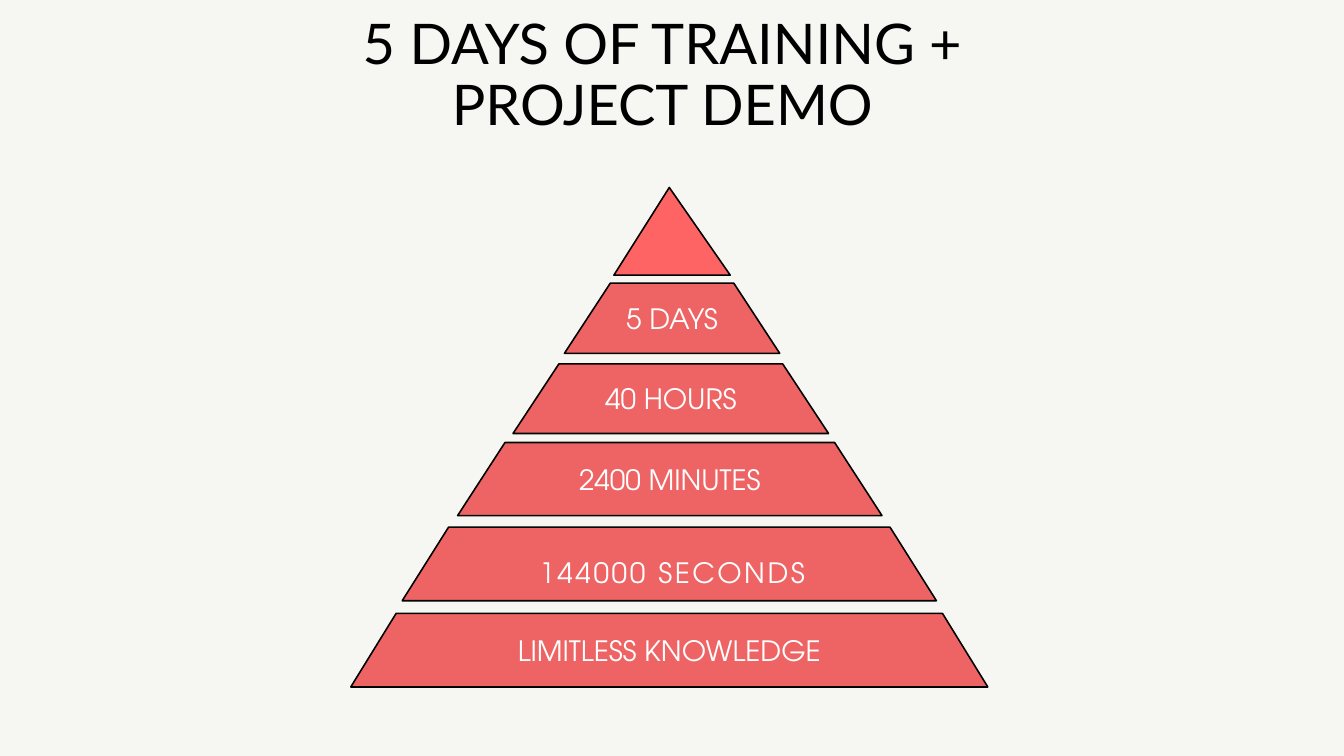
import pptx
import pptx.dml.color
import pptx.enum.text
import pptx.util

COLOURS = {"paper": "F6F7F2", "ink": "000000", "tier": "EE6464",
           "peak": "FF6464", "label": "FFFFFF"}
LABEL = {"name": "TeX Gyre Adventor", "size": pptx.util.Pt(40)}
TITLE = {"name": "Lato", "size": pptx.util.Pt(80)}

# Regions as percent of the page: left, top, width, height
TITLE_BOX = (23.25, 1.4, 52.08, 17.53)
PYRAMID_BOX = (26.1, 24.8, 47.4, 66.07)

# Tiers as percent of the pyramid: label, top, height, then the x of
# the base left, top left, top right and base right corners
TIERS = [
    ("", 0, 17.56, 41.3, 50, 50, 59.57),
    ("5 DAYS", 19.17, 14.03, 33.54, 40.74, 60.13, 67.33),
    ("40 HOURS", 35.32, 13.93, 25.47, 32.67, 67.8, 75),
    ("2400 MINUTES", 51.06, 14.63, 16.77, 24.21, 75.95, 83.39),
    ("", 68.01, 14.73, 8.07, 15.35, 84.65, 91.93),
    ("LIMITLESS KNOWLEDGE", 85.27, 14.73, 0, 7.12, 92.88, 100),
]
SECONDS_BOX = (-5.3, 72.05, 111.55, 9.38)


def colour(name):
    return pptx.dml.color.RGBColor.from_string(COLOURS[name])


def inside(area, shares):
    """Turn percent shares of an area into a box in EMU."""
    left, top, width, height = area
    x, y, w, h = shares
    return (round(left + width * x / 100), round(top + height * y / 100),
            round(width * w / 100), round(height * h / 100))


def write(shape, text, font, ink, margin=0.05, spacing=1.0, tracking=0):
    frame = shape.text_frame
    settings = {"word_wrap": True,
                "vertical_anchor": pptx.enum.text.MSO_ANCHOR.MIDDLE}
    for side in ("left", "top", "right", "bottom"):
        settings[f"margin_{side}"] = pptx.util.Inches(margin)
    for key, value in settings.items():
        setattr(frame, key, value)
    para = frame.paragraphs[0]
    para.alignment = pptx.enum.text.PP_ALIGN.CENTER
    para.line_spacing = spacing
    span = para.add_run()
    span.text = text
    for key, value in font.items():
        setattr(span.font, key, value)
    span.font.color.rgb = colour(ink)
    if tracking:
        span.font._element.set("spc", str(round(tracking * 100)))


def add_title(page, area):
    box = page.shapes.add_textbox(*area)
    write(box, "5 DAYS OF TRAINING + PROJECT DEMO", TITLE, "ink", spacing=0.9)


def add_tier(page, area, tier):
    label, top, height, base_left, top_left, top_right, base_right = tier
    base = top + height
    corners = [(base_left, base), (top_left, top), (top_right, top),
               (base_right, base)]
    if top_left == top_right:
        corners.pop(2)
    points = [inside(area, (x, y, 0, 0))[:2] for x, y in corners]
    outline = page.shapes.build_freeform(*points[0])
    outline.add_line_segments(points[1:], close=True)
    shape = outline.convert_to_shape()
    shape.shadow.inherit = False
    shape.fill.solid()
    shape.fill.fore_color.rgb = colour("peak" if top == 0 else "tier")
    shape.line.color.rgb = colour("ink")
    shape.line.width = pptx.util.Pt(2.25)
    if label:
        write(shape, label, LABEL, "label")


def add_pyramid(page, area):
    for tier in TIERS:
        add_tier(page, area, tier)
    # The seconds label sits low in its tier, with wide tracking
    box = page.shapes.add_textbox(*inside(area, SECONDS_BOX))
    write(box, "144000 SECONDS", LABEL, "label", margin=0, spacing=1.1,
          tracking=3.8)


def main():
    deck = pptx.Presentation()
    deck.slide_width = pptx.util.Inches(26.67)
    deck.slide_height = pptx.util.Inches(15)
    page = deck.slides.add_slide(deck.slide_layouts[6])
    page.background.fill.solid()
    page.background.fill.fore_color.rgb = colour("paper")

    whole = (0, 0, deck.slide_width, deck.slide_height)
    add_title(page, inside(whole, TITLE_BOX))
    add_pyramid(page, inside(whole, PYRAMID_BOX))
    deck.save("out.pptx")


if __name__ == "__main__":
    main()
